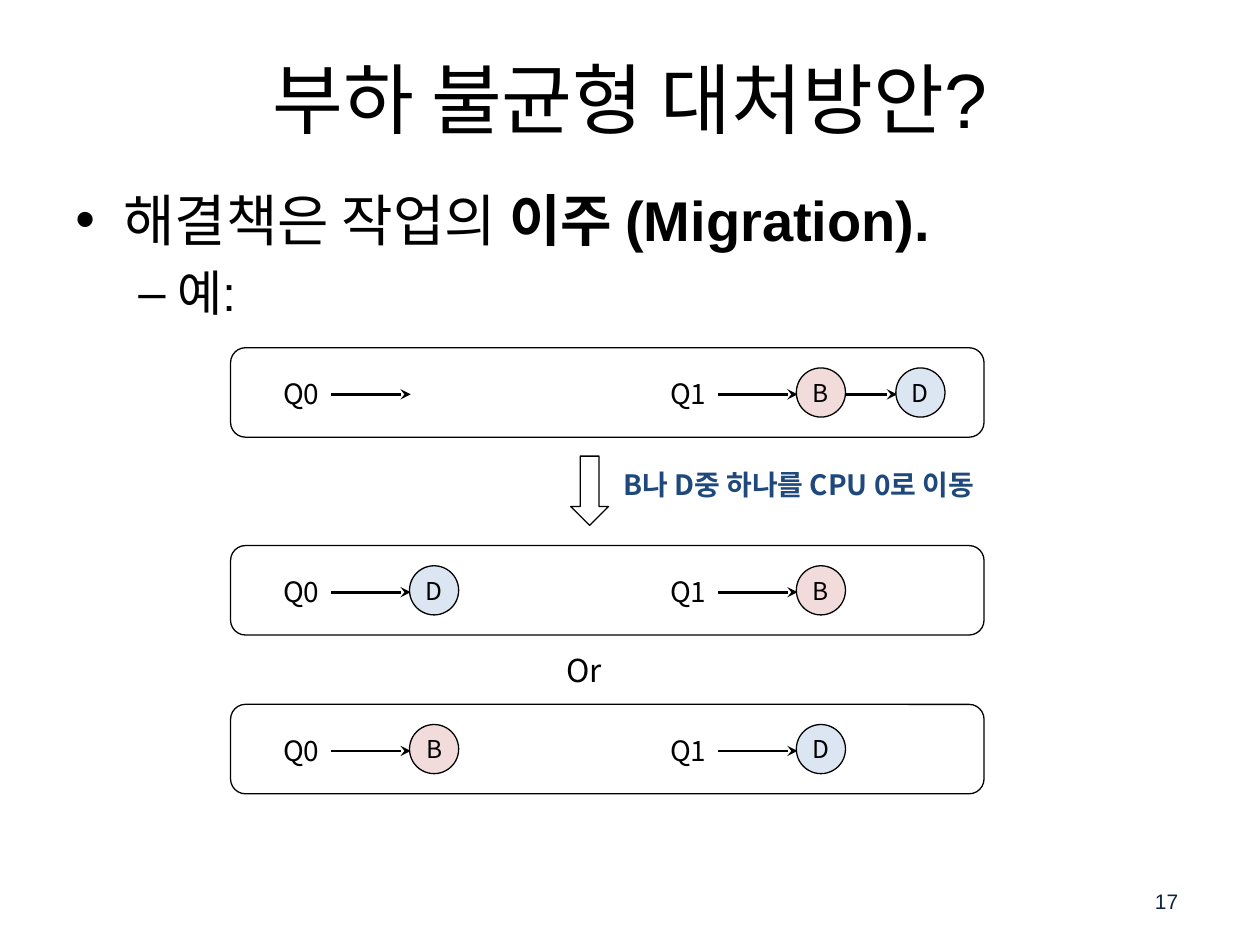
from lxml.etree import SubElement
from pptx import Presentation
from pptx.dml.color import RGBColor
from pptx.enum.shapes import MSO_CONNECTOR, MSO_SHAPE
from pptx.enum.text import MSO_ANCHOR, PP_ALIGN
from pptx.oxml.ns import qn
from pptx.util import Inches, Pt

BLACK = RGBColor(0x00, 0x00, 0x00)
WHITE = RGBColor(0xFF, 0xFF, 0xFF)
NAVY = RGBColor(0x0F, 0x24, 0x3E)
BLUE = RGBColor(0x1F, 0x49, 0x7D)
TASK_COLORS = {
    "B": RGBColor(0xF2, 0xDC, 0xDB),
    "D": RGBColor(0xDC, 0xE6, 0xF2),
}
LATIN = "Arial"
KOREAN = "Noto Sans CJK KR"
TASK_SIZE = 0.39
TASK_STEP = 0.79
LANES = {"Q0": 2.15, "Q1": 5.22}
STATES = [
    (2.76, {"Q0": "", "Q1": "BD"}),
    (4.33, {"Q0": "D", "Q1": "B"}),
    (5.59, {"Q0": "B", "Q1": "D"}),
]


def apply(target, values):
    for name, value in values.items():
        setattr(target, name, value)


class QueueSlide:
    def __init__(self, slide):
        self.slide = slide
        self.shapes = slide.shapes

    def add_words(self, paragraph, text, size, font=KOREAN, color=BLACK, bold=False):
        run = paragraph.add_run()
        run.text = text
        apply(run.font, {"size": Pt(size), "name": font, "bold": bold})
        run.font.color.rgb = color
        SubElement(run._r.get_or_add_rPr(), qn("a:ea"), typeface=KOREAN)

    def title(self, text, *place):
        heading = self.shapes.title
        apply(heading, dict(zip(("left", "top", "width", "height"), map(Inches, place))))
        heading.text_frame.vertical_anchor = MSO_ANCHOR.MIDDLE
        paragraph = heading.text_frame.paragraphs[0]
        paragraph.alignment = PP_ALIGN.CENTER
        self.add_words(paragraph, text, 44, LATIN)

    def frame(self, *place, wrap=True, anchor=MSO_ANCHOR.TOP):
        frame = self.shapes.add_textbox(*map(Inches, place)).text_frame
        apply(frame, {"word_wrap": wrap, "vertical_anchor": anchor})
        return frame

    def label(self, text, *place, size=16, align=PP_ALIGN.LEFT, wrap=True,
              anchor=MSO_ANCHOR.TOP, **style):
        paragraph = self.frame(*place, wrap=wrap, anchor=anchor).paragraphs[0]
        paragraph.alignment = align
        self.add_words(paragraph, text, size, **style)

    def bullet(self, paragraph, mark, indent, hanging, level, space, pieces, size):
        apply(paragraph, {"level": level, "space_before": Pt(space)})
        properties = paragraph._p.get_or_add_pPr()
        properties.set("marL", str(Inches(indent)))
        properties.set("indent", str(-Inches(hanging)))
        SubElement(properties, qn("a:buFont"), typeface=LATIN)
        SubElement(properties, qn("a:buChar"), char=mark)
        for text, bold in pieces:
            self.add_words(paragraph, text, size, LATIN, bold=bold)

    def shape(self, kind, *place, fill=None):
        shape = self.shapes.add_shape(kind, *map(Inches, place))
        shape.shadow.inherit = False
        if fill is None:
            shape.fill.background()
        else:
            shape.fill.solid()
            shape.fill.fore_color.rgb = fill
        shape.line.color.rgb = BLACK
        shape.line.width = Pt(0.75)
        return shape

    def task(self, name, left, top):
        circle = self.shape(MSO_SHAPE.OVAL, left, top, TASK_SIZE, TASK_SIZE,
                            fill=TASK_COLORS[name])
        apply(circle.text_frame, {
            "margin_left": 0, "margin_right": 0,
            "margin_top": Inches(0.05), "margin_bottom": Inches(0.05),
            "vertical_anchor": MSO_ANCHOR.MIDDLE,
        })
        paragraph = circle.text_frame.paragraphs[0]
        paragraph.alignment = PP_ALIGN.CENTER
        self.add_words(paragraph, name, 14)

    def arrow(self, start, end, y):
        arrow = self.shapes.add_connector(
            MSO_CONNECTOR.STRAIGHT, Inches(start), Inches(y), Inches(end), Inches(y))
        arrow.line.color.rgb = BLACK
        arrow.line.width = Pt(1.5)
        properties = arrow._element.spPr
        SubElement(properties.find(qn("a:ln")), qn("a:tailEnd"), type="stealth")
        SubElement(properties, qn("a:effectLst"))

    def lane(self, name, tasks, left, top):
        self.label(name, left, top + 0.18, 0.5, 0.37, wrap=False)
        middle = top + 0.37
        self.arrow(left + 0.48, left + 1.11, middle)
        for index, task in enumerate(tasks):
            task_left = left + 1.1 + index * TASK_STEP
            if index:
                self.arrow(task_left - TASK_STEP + TASK_SIZE, task_left + 0.01, middle)
            self.task(task, task_left, top + 0.16)

    def state(self, top, queues):
        self.shape(MSO_SHAPE.ROUNDED_RECTANGLE, 1.83, top, 5.98, 0.71)
        for name, tasks in queues.items():
            self.lane(name, tasks, LANES[name], top)


def main():
    deck = Presentation()
    apply(deck, {"slide_width": Inches(10), "slide_height": Inches(7.5)})
    page = QueueSlide(deck.slides.add_slide(deck.slide_layouts[5]))

    page.title("부하 불균형 대처방안?", 0.5, 0.3, 9, 0.95)
    body = page.frame(0.5, 1.42, 9, 5.75)
    page.bullet(body.paragraphs[0], "•", 0.38, 0.38, 0, 7,
                [("해결책은 작업의 ", False), ("이주 (Migration).", True)], 32)
    page.bullet(body.add_paragraph(), "–", 0.81, 0.31, 1, 6, [("예:", False)], 28)

    for top, queues in STATES:
        page.state(top, queues)
    page.label("Or", 4.2, 5.12, 0.87, 0.4, size=18, align=PP_ALIGN.CENTER)
    page.shape(MSO_SHAPE.DOWN_ARROW, 4.53, 3.62, 0.3, 0.55, fill=WHITE)
    page.label("B나 D중 하나를 CPU 0로 이동", 4.85, 3.66, 5.1, 0.37,
               color=BLUE, bold=True)
    page.label("17", 7.17, 6.95, 2.28, 0.4, size=12, align=PP_ALIGN.RIGHT,
               anchor=MSO_ANCHOR.MIDDLE, font=LATIN, color=NAVY)

    deck.save("out.pptx")


if __name__ == "__main__":
    main()
